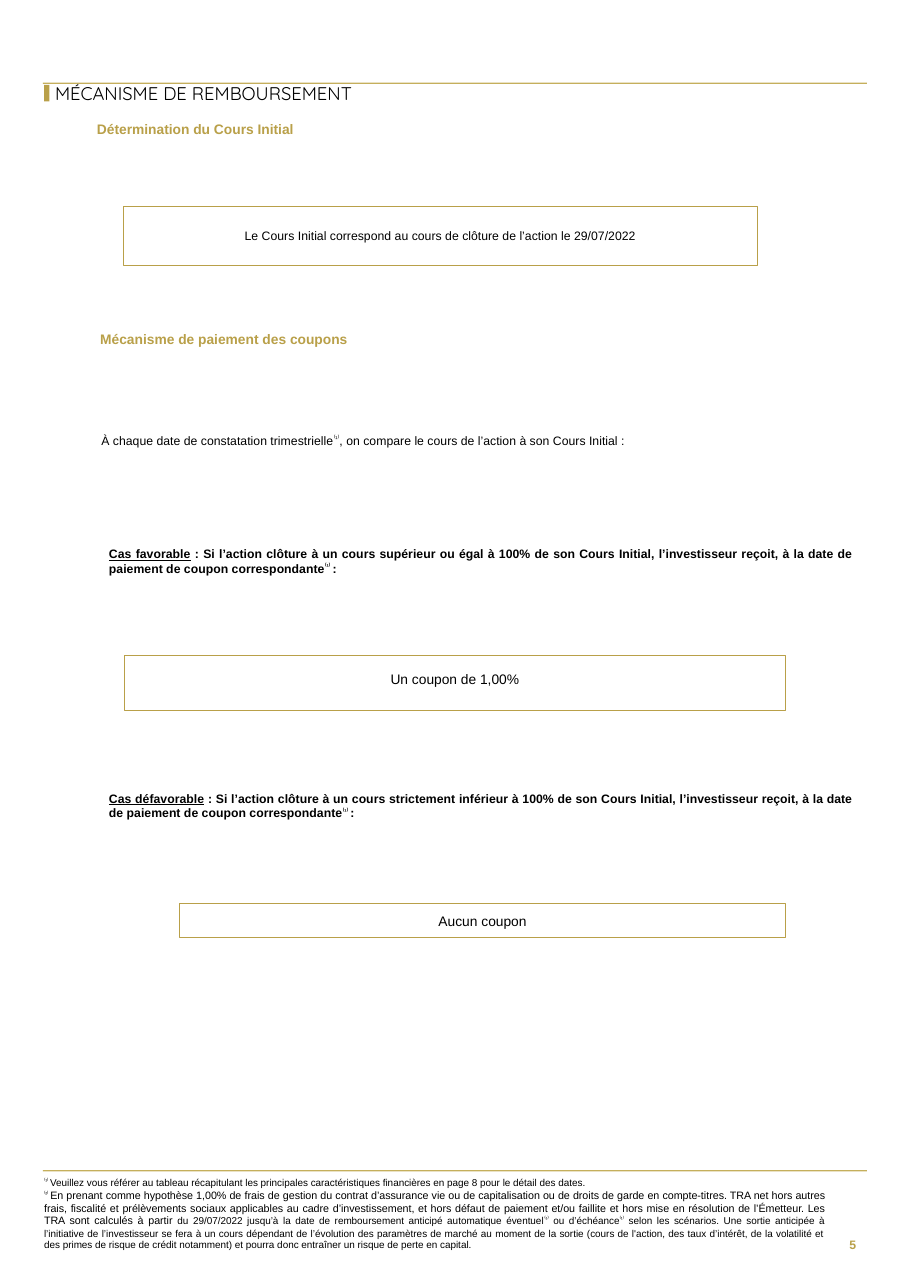
from pptx import Presentation
from pptx.dml.color import RGBColor
from pptx.enum.shapes import MSO_SHAPE as Shape
from pptx.enum.text import MSO_ANCHOR as Anchor, PP_ALIGN as Align
from pptx.util import Inches, Pt

WIDTH, HEIGHT = Inches(8.27), Inches(11.69)
COLUMN, ROW = WIDTH / 100, HEIGHT / 100
GOLD = RGBColor(0xB9, 0xA0, 0x49)
PALE_GOLD = RGBColor(0xC5, 0xAF, 0x5C)
BLACK = RGBColor(0, 0, 0)

RAISED = {"raised": True}
NOTE_ONE = ("⁽¹⁾", RAISED)


def place(left, top, width, height):
    return (round(left * COLUMN), round(top * ROW),
            round(width * COLUMN), round(height * ROW))


def add_run(paragraph, text, size, color=BLACK, font="Arial",
            bold=False, underline=False, raised=False):
    run = paragraph.add_run()
    run.text = text
    run.font.name = font
    run.font.size = Pt(size)
    run.font.color.rgb = color
    run.font.bold = bold
    run.font.underline = underline
    if raised:
        run.font._element.set("baseline", "30000")


def write(shape, paragraphs, align=Align.LEFT, anchor=Anchor.TOP,
          margins=(0, 0, 0, 0), line_spacing=1.0, **style):
    frame = shape.text_frame
    frame.word_wrap = True
    frame.vertical_anchor = anchor
    (frame.margin_left, frame.margin_top,
     frame.margin_right, frame.margin_bottom) = map(Inches, margins)
    for index, runs in enumerate(paragraphs):
        paragraph = frame.add_paragraph() if index else frame.paragraphs[0]
        paragraph.alignment = align
        paragraph.line_spacing = line_spacing
        for text, changes in runs:
            add_run(paragraph, text, **{**style, **changes})


def add_text(slide, area, paragraphs, **options):
    write(slide.shapes.add_textbox(*place(*area)), paragraphs, **options)


def add_bar(slide, area, color):
    bar = slide.shapes.add_shape(Shape.RECTANGLE, *place(*area))
    bar.shadow.inherit = False
    bar.fill.solid()
    bar.fill.fore_color.rgb = color
    bar.line.fill.background()


def add_frame(slide, area, text, size, line_width, margins):
    frame = slide.shapes.add_shape(Shape.RECTANGLE, *place(*area))
    frame.shadow.inherit = False
    frame.fill.background()
    frame.line.color.rgb = GOLD
    frame.line.width = Pt(line_width)
    write(frame, [[(text, {})]], size=size, align=Align.CENTER,
          anchor=Anchor.MIDDLE, margins=margins)


def add_heading(slide, area, text):
    add_text(slide, area, [[(text, {})]], size=9, color=GOLD, bold=True)


def add_case(slide, top, name, condition):
    runs = [(name, {"underline": True}), (condition, {}),
            ("⁽¹⁾ ", RAISED), (":", {})]
    add_text(slide, (11.97, top, 81.74, 2.31), [runs], size=8, bold=True,
             align=Align.JUSTIFY)


def add_footnotes(slide):
    first = [
        ("⁽¹⁾ ", RAISED),
        ("Veuillez vous référer au tableau récapitulant les principales "
         "caractéristiques financières en page 8 pour le détail des dates.", {}),
    ]
    second = [
        ("⁽²⁾ ", RAISED),
        ("En prenant comme hypothèse 1,00% de frais de gestion du contrat "
         "d’assurance vie ou de capitalisation ou de droits de garde en "
         "compte-titres. TRA net hors autres frais, fiscalité et prélèvements "
         "sociaux applicables au cadre d’investissement, et hors défaut de "
         "paiement et/ou faillite et hors mise en résolution de l’Émetteur. "
         "Les TRA sont calculés à partir ", {"size": 7}),
        ("du 29/07/2022 jusqu’à la date de remboursement anticipé automatique "
         "éventuel", {}),
        NOTE_ONE,
        (" ou d’échéance", {}),
        NOTE_ONE,
        (" selon les scénarios. Une sortie anticipée à l’initiative de "
         "l’investisseur se fera à un cours dépendant de l’évolution des "
         "paramètres de marché au moment de la sortie (cours de l'action, des "
         "taux d’intérêt, de la volatilité et des primes de risque de crédit "
         "notamment) et pourra donc entraîner un risque de perte en capital.", {}),
    ]
    add_text(slide, (4.84, 91.36, 85.73, 5.82), [first, second], size=6.5,
             align=Align.JUSTIFY)


def main():
    presentation = Presentation()
    presentation.slide_width, presentation.slide_height = WIDTH, HEIGHT
    slide = presentation.slides.add_slide(presentation.slide_layouts[6])

    for top in (6.42, 90.85):
        add_bar(slide, (4.72, top, 90.45, 0.09), PALE_GOLD)
    add_bar(slide, (4.84, 6.59, 0.6, 1.28), GOLD)
    add_text(slide, (6.05, 6.24, 50.91, 2.14),
             [[("MÉCANISME DE REMBOURSEMENT", {})]], size=12, font="Quicksand",
             anchor=Anchor.MIDDLE, line_spacing=0.9)

    add_heading(slide, (10.64, 9.41, 35.91, 1.54), "Détermination du Cours Initial")
    add_frame(slide, (13.54, 16, 69.65, 4.62),
              "Le Cours Initial correspond au cours de clôture de l’action "
              "le 29/07/2022", 8, 0.5, (0.12, 0.2, 0.12, 0.2))

    add_heading(slide, (11, 25.66, 79.44, 1.45), "Mécanisme de paiement des coupons")
    add_text(slide, (11.12, 33.62, 79.44, 1.11),
             [[("À chaque date de constatation trimestrielle", {}), NOTE_ONE,
               (", on compare le cours de l’action à son Cours Initial :", {})]],
             size=8, align=Align.JUSTIFY)

    add_case(slide, 42.43, "Cas favorable",
             " : Si l’action clôture à un cours supérieur ou égal à 100% de son "
             "Cours Initial, l’investisseur reçoit, à la date de paiement de "
             "coupon correspondante")
    add_frame(slide, (13.66, 50.9, 72.55, 4.28), "Un coupon de 1,00%",
              9, 0.75, (0.12, 0.08, 0.12, 0.15))
    add_case(slide, 61.42, "Cas défavorable",
             " : Si l’action clôture à un cours strictement inférieur à 100% de "
             "son Cours Initial, l’investisseur reçoit, à la date de paiement de "
             "coupon correspondante")
    add_frame(slide, (19.71, 70.15, 66.51, 2.65), "Aucun coupon",
              9, 0.75, (0.12, 0.08, 0.12, 0.08))

    add_footnotes(slide)
    add_text(slide, (90.45, 94.87, 4.72, 3.59), [[("5", {})]], size=8, color=GOLD,
             bold=True, align=Align.RIGHT, anchor=Anchor.MIDDLE,
             margins=(0.1, 0.05, 0.1, 0.05))
    presentation.save("out.pptx")


if __name__ == "__main__":
    main()
